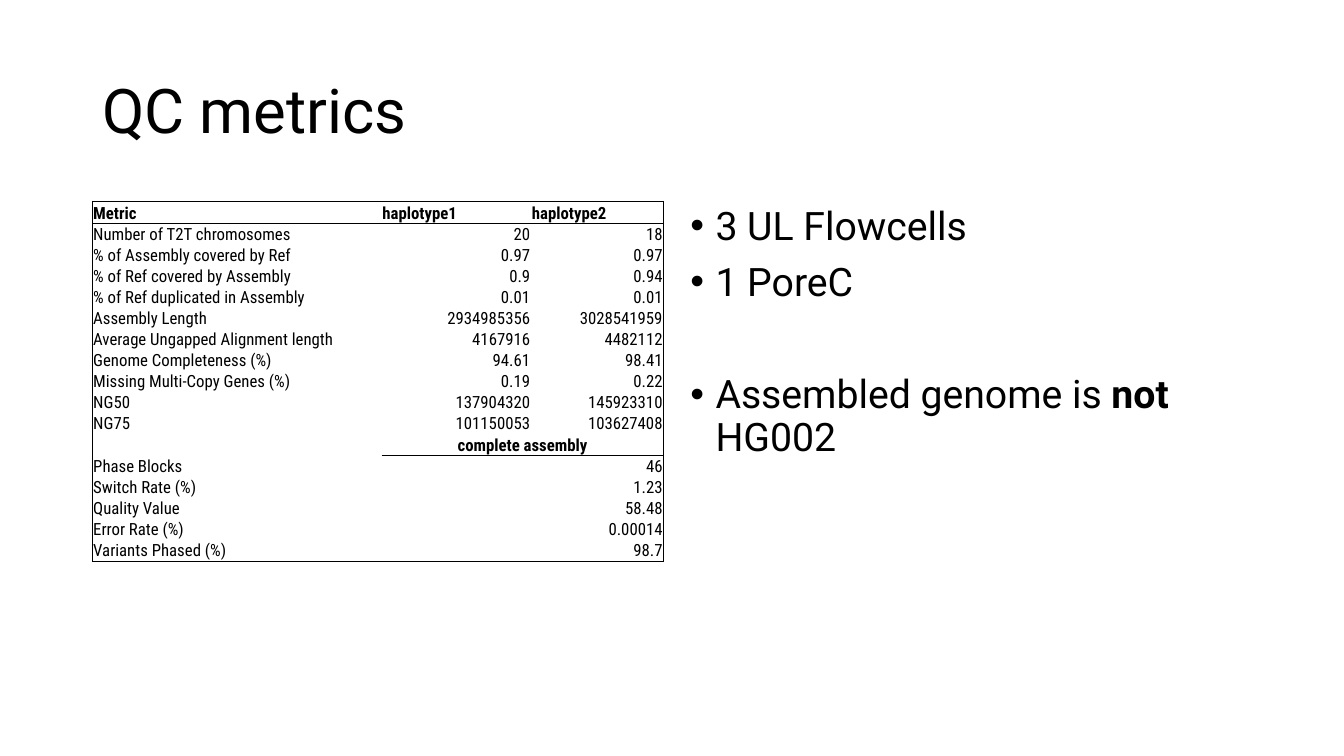
import lxml.etree
import pptx
import pptx.dml.color
import pptx.enum.text
import pptx.oxml.ns
import pptx.util
from dataclasses import dataclass

Pt = pptx.util.Pt
Align = pptx.enum.text.PP_ALIGN
Anchor = pptx.enum.text.MSO_ANCHOR
qn = pptx.oxml.ns.qn


@dataclass(frozen=True)
class Theme:
    """Hold the colours, fonts and type sizes."""
    ink: str = "000000"
    face: str = "Roboto"
    table_face: str = "Roboto Condensed"
    title_size: int = 44
    body_size: int = 28
    table_size: int = 12
    rule_width: float = 0.5


THEME = Theme()
COLUMNS = (206.6, 106.8, 94.6)
HEADER = ("Metric", "haplotype1", "haplotype2")
BY_HAPLOTYPE = (
    ("Number of T2T chromosomes", "20", "18"),
    ("% of Assembly covered by Ref", "0.97", "0.97"),
    ("% of Ref covered by Assembly", "0.9", "0.94"),
    ("% of Ref duplicated in Assembly", "0.01", "0.01"),
    ("Assembly Length", "2934985356", "3028541959"),
    ("Average Ungapped Alignment length", "4167916", "4482112"),
    ("Genome Completeness (%)", "94.61", "98.41"),
    ("Missing Multi-Copy Genes (%)", "0.19", "0.22"),
    ("NG50", "137904320", "145923310"),
    ("NG75", "101150053", "103627408"),
)
SECTION = ("", "complete assembly", "")
WHOLE_ASSEMBLY = (
    ("Phase Blocks", "46", ""),
    ("Switch Rate (%)", "1.23", ""),
    ("Quality Value", "58.48", ""),
    ("Error Rate (%)", "0.00014", ""),
    ("Variants Phased (%)", "98.7", ""),
)
BULLETS = (
    (0, (("3 UL Flowcells", False),)),
    (10, (("1 PoreC", False),)),
    (50, (("Assembled genome is ", False), ("not", True), (" HG002", False))),
)


def apply(target, **values):
    """Set each named attribute on the target."""
    for name, value in values.items():
        setattr(target, name, value)


def add_span(para, text, size, face, bold=False):
    """Add one formatted run to a paragraph."""
    span = para.add_run()
    span.text = text
    apply(span.font, size=Pt(size), name=face, bold=bold)
    span.font.color.rgb = pptx.dml.color.RGBColor.from_string(THEME.ink)


def add_frame(page, box, anchor):
    """Add a wrapping text box and return its text frame."""
    frame = page.shapes.add_textbox(*map(Pt, box)).text_frame
    apply(frame, word_wrap=True, vertical_anchor=anchor)
    return frame


def add_title(page, box):
    """Place the slide title in the box."""
    para = add_frame(page, box, Anchor.MIDDLE).paragraphs[0]
    para.line_spacing = 0.9
    add_span(para, "QC metrics", THEME.title_size, THEME.face)


def add_bullets(page, box):
    """Place the bulleted notes in the box."""
    frame = add_frame(page, box, Anchor.TOP)
    for index, (gap, spans) in enumerate(BULLETS):
        para = frame.add_paragraph() if index else frame.paragraphs[0]
        apply(para, line_spacing=0.9, space_before=Pt(gap))
        properties = para._p.get_or_add_pPr()
        apply_indent = {"marL": Pt(18), "indent": -Pt(18)}
        for name, value in apply_indent.items():
            properties.set(name, str(int(value)))
        font = lxml.etree.SubElement(properties, qn("a:buFont"))
        font.set("typeface", "Arial")
        lxml.etree.SubElement(properties, qn("a:buChar")).set("char", "•")
        for text, bold in spans:
            add_span(para, text, THEME.body_size, THEME.face, bold)


def set_borders(cell, drawn):
    """Rule the drawn sides of a cell and clear the others."""
    properties = cell._tc.get_or_add_tcPr()
    for index, side in enumerate("LRTB"):
        line = lxml.etree.Element(qn("a:ln" + side))
        properties.insert(index, line)
        if side in drawn:
            line.set("w", str(int(Pt(THEME.rule_width))))
            fill = lxml.etree.SubElement(line, qn("a:solidFill"))
            lxml.etree.SubElement(fill, qn("a:srgbClr")).set("val", THEME.ink)
        else:
            line.set("w", "0")
            lxml.etree.SubElement(line, qn("a:noFill"))


def fill_cell(cell, text, align, bold, drawn):
    """Write and format one table cell."""
    apply(cell, vertical_anchor=Anchor.BOTTOM, margin_left=Pt(0.6),
          margin_right=Pt(0.6), margin_top=Pt(0.6), margin_bottom=Pt(0))
    cell.fill.background()
    set_borders(cell, drawn)
    para = cell.text_frame.paragraphs[0]
    para.alignment = align
    if text:
        add_span(para, text, THEME.table_size, THEME.table_face, bold)
    else:
        ending = lxml.etree.SubElement(para._p, qn("a:endParaRPr"))
        ending.set("sz", str(THEME.table_size * 100))


def add_metrics(page, box):
    """Place the quality table in the box."""
    rows = (HEADER, *BY_HAPLOTYPE, SECTION, *WHOLE_ASSEMBLY)
    section = rows.index(SECTION)
    last = len(rows) - 1
    table = page.shapes.add_table(len(rows), len(COLUMNS), *map(Pt, box)).table
    apply(table, first_row=False, horz_banding=False)
    for column, width in zip(table.columns, COLUMNS):
        column.width = Pt(width)
    heights = {0: 15.8, section: 15.8, section + 1: 13}
    for r, texts in enumerate(rows):
        table.rows[r].height = Pt(heights.get(r, 15))
        heading = r in (0, section)
        for c, text in enumerate(texts):
            align = Align.LEFT if c == 0 or r == 0 else Align.RIGHT
            if r == section and c:
                align = Align.CENTER
            drawn = {
                "L": c == 0,
                "R": c == 2 or (c == 1 and r >= section),
                "T": r in (0, 1) or (r == section + 1 and c > 0),
                "B": r in (0, last) or (r == section and c > 0),
            }
            sides = {side for side, shown in drawn.items() if shown}
            fill_cell(table.cell(r, c), text, align, heading, sides)
        if r >= section:
            table.cell(r, 1).merge(table.cell(r, 2))


def main():
    """Build and save the slide."""
    deck = pptx.Presentation()
    apply(deck, slide_width=Pt(960), slide_height=Pt(540))
    page = deck.slides.add_slide(deck.slide_layouts[6])
    add_title(page, (66, 28.8, 828, 104.4))
    add_metrics(page, (66, 143.75, sum(COLUMNS), 256.6))
    add_bullets(page, (486, 143.75, 408, 266.4))
    deck.save("out.pptx")


if __name__ == "__main__":
    main()
